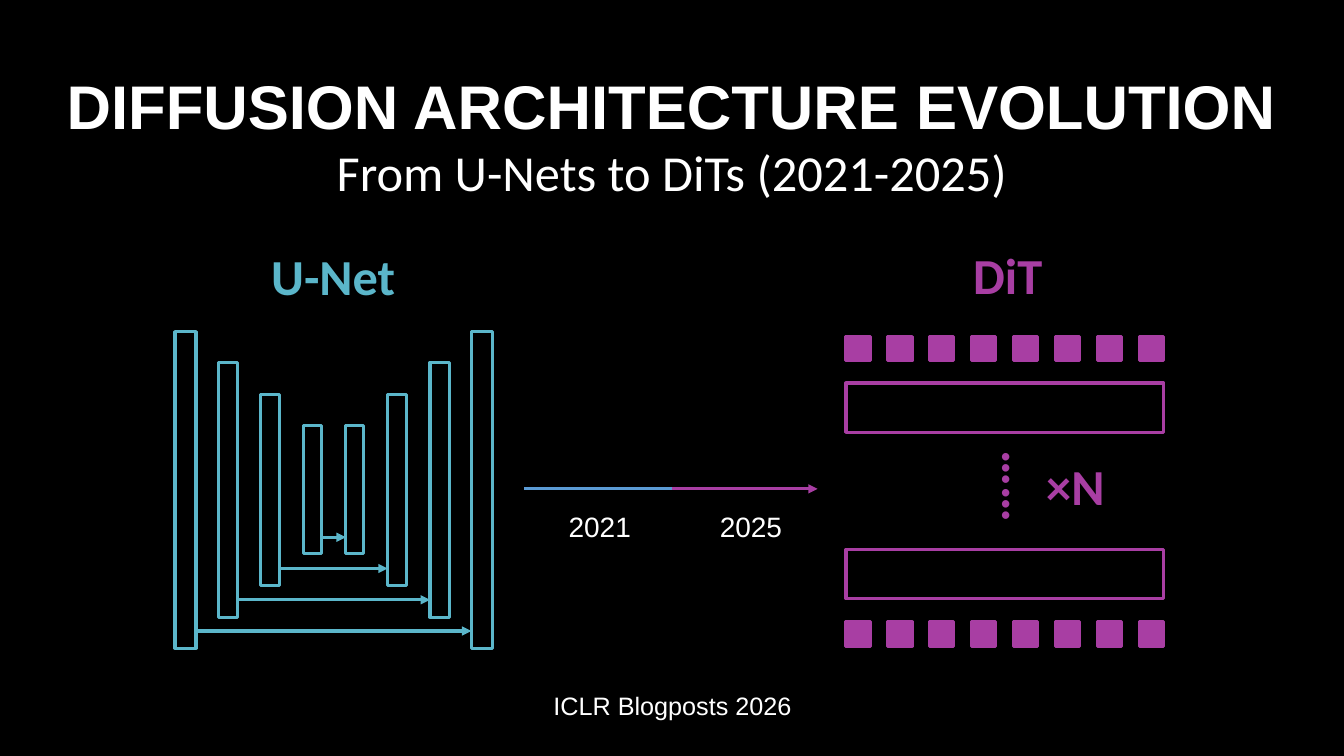
from pptx import Presentation
from pptx.dml.color import RGBColor
from pptx.enum.shapes import MSO_CONNECTOR, MSO_SHAPE
from pptx.enum.text import MSO_AUTO_SIZE, PP_ALIGN
from pptx.oxml.ns import qn
from pptx.util import Inches, Pt
from lxml.etree import SubElement

BLACK, WHITE = "000000", "FFFFFF"
TEAL, PINK, BLUE = "5BB6CA", "A83EA3", "5B9BD5"
WIDTH, HEIGHT = 13.33, 7.5

# lines (text, size, font, bold), box, colour
TITLE = [("DIFFUSION ARCHITECTURE EVOLUTION", 44, "Arial", True),
         ("From U-Nets to DiTs (2021-2025)", 36, "Calibri", False)]
HEADS = [("U-Net", (-0.03, 2.38, 6.67, 0.71), TEAL),
         ("DiT", (6.66, 2.37, 6.67, 0.71), PINK)]
YEARS = [("2021", 5.54), ("2025", 7.04)]
FOOTER = "ICLR Blogposts 2026"

# U-Net levels, outside to inside: bar width and height
LEVELS = [(0.21, 3.14), (0.19, 2.53), (0.19, 1.9), (0.18, 1.27)]
UNET_X, UNET_Y = 3.31, 4.86
REACH, STEP = 1.47, 0.42
SKIP_Y, SKIP_STEP = 6.26, 0.31

# DiT stack
STACK_X, STACK_W = 8.39, 3.15
TOKENS, TOKEN = 8, 0.24
TOKEN_ROWS = [3.34, 6.17]
BLOCK_ROWS, BLOCK_H = [3.8, 5.45], 0.49


def color(text):
    return RGBColor.from_string(text)


def add_rect(parent, box, line, fill=None):
    rect = parent.add_shape(MSO_SHAPE.RECTANGLE, *map(Inches, box))
    rect.shadow.inherit = False
    rect.line.color.rgb = color(line)
    rect.line.width = Pt(2.25)
    if fill:
        rect.fill.solid()
        rect.fill.fore_color.rgb = color(fill)
    else:
        rect.fill.background()


def add_text(parent, lines, box, ink, align=PP_ALIGN.CENTER, wrap=True):
    """Add a text box with one paragraph per (text, size, font, bold)."""
    shape = parent.add_textbox(*map(Inches, box))
    frame = shape.text_frame
    frame.word_wrap = wrap
    frame.auto_size = MSO_AUTO_SIZE.SHAPE_TO_FIT_TEXT
    frame.text = "\n".join(line[0] for line in lines)
    for para, (_, size, font, bold) in zip(frame.paragraphs, lines):
        para.alignment = align
        for run in para.runs:
            run.font.size = Pt(size)
            run.font.name = font
            run.font.bold = bold
            run.font.color.rgb = color(ink)
    return shape


def add_line(parent, left, right, y, ink, arrow=True):
    line = parent.add_connector(MSO_CONNECTOR.STRAIGHT,
                                *map(Inches, (left, y, right, y)))
    line.line.color.rgb = color(ink)
    line.line.width = Pt(2.25)
    if arrow:
        SubElement(line.line._get_or_add_ln(), qn("a:tailEnd"), type="triangle")
    SubElement(line._element.spPr, qn("a:effectLst"))


def add_unet(shapes):
    bars = shapes.add_group_shape().shapes
    for i, (width, height) in enumerate(LEVELS):
        reach = REACH - i * STEP
        for x in (UNET_X - reach, UNET_X + reach):
            box = (x - width / 2, UNET_Y - height / 2, width, height)
            add_rect(bars, box, TEAL)
        edge = reach - width / 2
        add_line(shapes, UNET_X - edge, UNET_X + edge,
                 SKIP_Y - i * SKIP_STEP, TEAL)


def add_dit(shapes):
    stack = shapes.add_group_shape().shapes
    pitch = (STACK_W - TOKEN) / (TOKENS - 1)
    for y in TOKEN_ROWS:
        for i in range(TOKENS):
            add_rect(stack, (STACK_X + i * pitch, y, TOKEN, TOKEN), PINK, PINK)
    for y in BLOCK_ROWS:
        add_rect(stack, (STACK_X, y, STACK_W, BLOCK_H), PINK)
    dots = add_text(stack, [("…… ", 36, "Calibri", True)],
                    (9.33, 4.53, 1.61, 0.71), PINK)
    dots.rotation = 90
    add_text(stack, [("×N", 36, "Calibri", True)],
             (10.27, 4.47, 0.79, 0.71), PINK, wrap=False)


def main():
    deck = Presentation()
    deck.slide_width, deck.slide_height = Inches(WIDTH), Inches(HEIGHT)
    slide = deck.slides.add_slide(deck.slide_layouts[6])
    slide.background.fill.solid()
    slide.background.fill.fore_color.rgb = color(BLACK)
    shapes = slide.shapes

    add_text(shapes, TITLE, (0, 0.62, WIDTH, 1.45), WHITE)
    for text, box, ink in HEADS:
        add_text(shapes, [(text, 36, "Calibri", True)], box, ink)
    add_unet(shapes)
    add_line(shapes, 5.2, 8.11, 4.85, PINK)
    add_line(shapes, 5.2, 6.67, 4.85, BLUE, arrow=False)
    for year, x in YEARS:
        add_text(shapes, [(year, 20, "Arial", False)],
                 (x, 5.01, 0.85, 0.44), WHITE, PP_ALIGN.LEFT)
    add_dit(shapes)
    add_text(shapes, [(FOOTER, 18, "Arial", False)],
             (5.09, 6.8, 3.16, 0.4), WHITE)
    deck.save("out.pptx")


if __name__ == "__main__":
    main()
